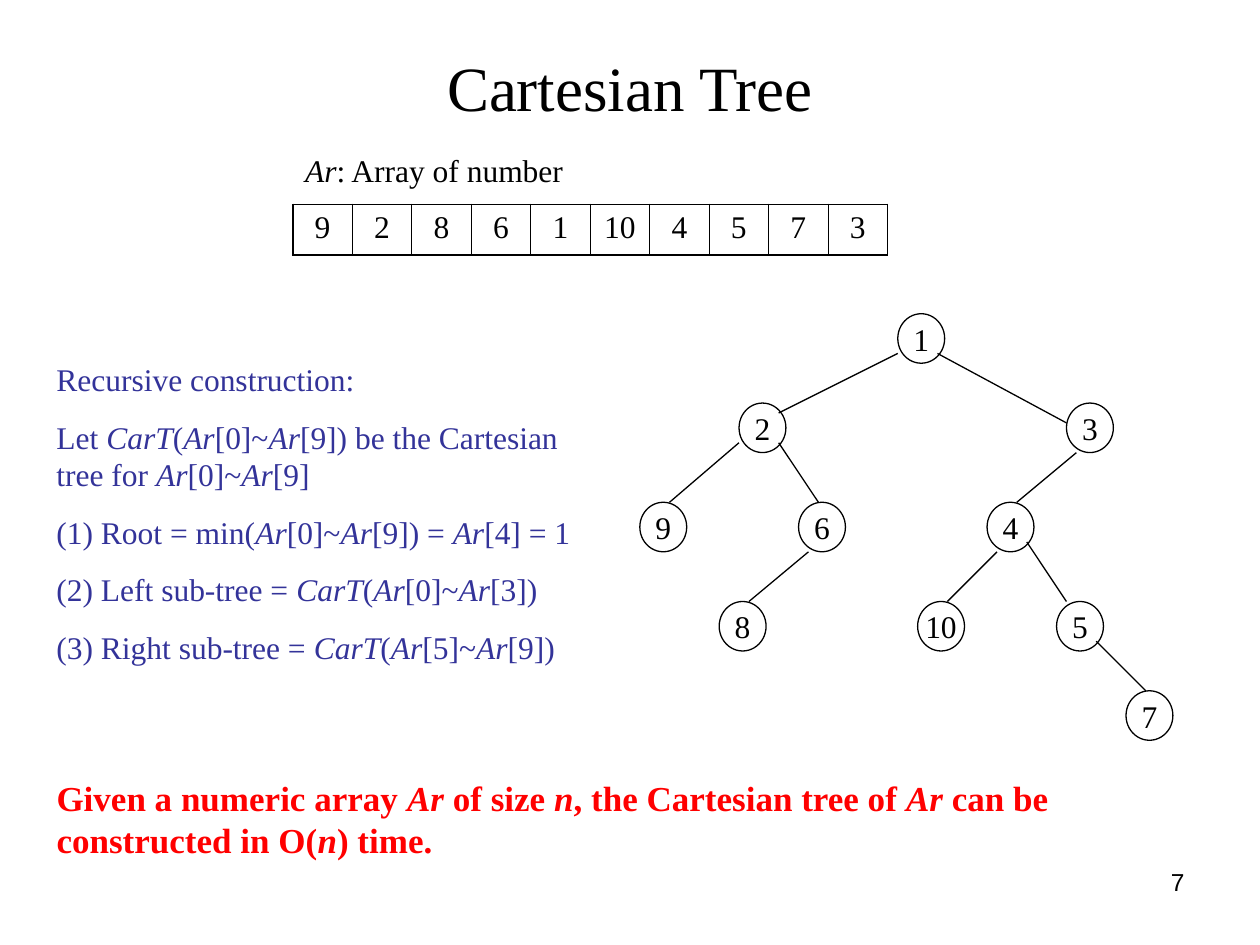
from lxml import etree
from pptx import Presentation
from pptx.dml.color import RGBColor
from pptx.enum.shapes import MSO_CONNECTOR, MSO_SHAPE
from pptx.enum.text import MSO_ANCHOR, MSO_AUTO_SIZE, PP_ALIGN
from pptx.oxml.ns import qn
from pptx.util import Pt

LEFT, CENTER, RIGHT = PP_ALIGN.LEFT, PP_ALIGN.CENTER, PP_ALIGN.RIGHT
TOP, MIDDLE = MSO_ANCHOR.TOP, MSO_ANCHOR.MIDDLE
FIT_SHAPE = MSO_AUTO_SIZE.SHAPE_TO_FIT_TEXT
OVAL, STRAIGHT = MSO_SHAPE.OVAL, MSO_CONNECTOR.STRAIGHT
SERIF, SANS = "Times New Roman", "Arial"
BLACK, RED, BLUE = "000000", "FF0000", "333399"

NUMBERS = [9, 2, 8, 6, 1, 10, 4, 5, 7, 3]
UNIT = 5.67  # grid step of the tree

# Number: column and row of the node's top left corner, in grid steps
NODES = {
    1: (26, 0), 2: (10, 9), 3: (43, 9), 9: (0, 19), 6: (16, 19),
    4: (35, 19), 8: (8, 29), 10: (28, 29), 5: (42, 29), 7: (49, 38),
}
# Child end and parent end of each edge, in grid steps
EDGES = [
    ((14, 10), (26, 4)), ((43, 11), (30, 4)), ((3, 19), (10, 13)),
    ((18, 19), (14, 13)), ((11, 29), (17, 24)), ((38, 19), (44, 14)),
    ((31, 29), (36, 24)), ((43, 29), (39, 23)), ((51, 38), (46, 33)),
]

# Text between asterisks is italic
CONSTRUCTION = [
    "Recursive construction:",
    "Let *CarT*(*Ar*[0]~*Ar*[9]) be the Cartesian tree for *Ar*[0]~*Ar*[9]",
    "(1) Root = min(*Ar*[0]~*Ar*[9]) = *Ar*[4] = 1",
    "(2) Left sub-tree = *CarT*(*Ar*[0]~*Ar*[3])",
    "(3) Right sub-tree = *CarT*(*Ar*[5]~*Ar*[9])",
]
CONCLUSION = [
    "Given a numeric array *Ar* of size *n*, the Cartesian tree of *Ar* "
    "can be constructed in O(*n*) time."
]


def rgb(value):
    return RGBColor.from_string(value)


def write(tf, lines, size=18, color=BLACK, font=SERIF, bold=False,
          align=LEFT, gap=0):
    for i, line in enumerate(lines):
        p = tf.add_paragraph() if i else tf.paragraphs[0]
        p.alignment = align
        if i:
            p.space_before = Pt(gap)
        for j, part in enumerate(line.split("*")):
            if not part:
                continue
            r = p.add_run()
            r.text = part
            r.font.name = font
            r.font.size = Pt(size)
            r.font.bold = bold
            r.font.italic = j % 2 == 1
            r.font.color.rgb = rgb(color)


def add_text(s, box, lines, anchor=TOP, fit=False, **style):
    tf = s.shapes.add_textbox(*map(Pt, box)).text_frame
    tf.word_wrap = True
    tf.vertical_anchor = anchor
    if fit:
        tf.auto_size = FIT_SHAPE
    write(tf, lines, **style)


def set_border(cell, side, width):
    tcPr = cell._tc.get_or_add_tcPr()
    ln = etree.SubElement(tcPr, qn("a:ln" + side), w=str(Pt(width)))
    fill = etree.SubElement(ln, qn("a:solidFill"))
    etree.SubElement(fill, qn("a:srgbClr"), val=BLACK)


def add_array(s, box):
    x, y, w, h = box
    table = s.shapes.add_table(1, len(NUMBERS), *map(Pt, box)).table
    table.first_row = table.horz_banding = False
    table.rows[0].height = Pt(h)
    last = len(NUMBERS) - 1
    for i, number in enumerate(NUMBERS):
        table.columns[i].width = Pt(w / len(NUMBERS))
        cell = table.cell(0, i)
        write(cell.text_frame, [str(number)], align=CENTER)
        # Thin lines between cells, thicker ones around the array
        set_border(cell, "L", 1.08 if i == 0 else 0.45)
        set_border(cell, "R", 1.08 if i == last else 0.45)
        set_border(cell, "T", 1.08)
        set_border(cell, "B", 1.08)
        cell.fill.background()


def add_tree(s, left, top):
    def at(col, row):
        return Pt(left + col * UNIT), Pt(top + row * UNIT)

    tree = s.shapes.add_group_shape().shapes
    for number, corner in NODES.items():
        sp = tree.add_shape(OVAL, *at(*corner), Pt(26.8), Pt(28.3))
        sp.shadow.inherit = False
        sp.fill.background()
        sp.line.color.rgb = rgb(BLACK)
        sp.line.width = Pt(0.75)
        tf = sp.text_frame
        tf.word_wrap = False
        tf.vertical_anchor = MIDDLE
        write(tf, [str(number)], align=CENTER)
    for child, parent in EDGES:
        edge = tree.add_connector(STRAIGHT, *at(*child), *at(*parent))
        edge.line.color.rgb = rgb(BLACK)
        edge.line.width = Pt(0.75)
        etree.SubElement(edge._element.spPr, qn("a:effectLst"))


def main():
    prs = Presentation()
    prs.slide_width, prs.slide_height = Pt(720), Pt(540)
    s = prs.slides.add_slide(prs.slide_layouts[6])

    # Title
    add_text(s, (36, 21.6, 648, 55.4), ["Cartesian Tree"],
             anchor=MIDDLE, size=36, align=CENTER)
    # Array with its label
    add_array(s, (167.3, 116.8, 340, 28.8))
    add_text(s, (167.3, 82.8, 164, 28.8), ["*Ar*: Array of number"], fit=True)
    # Tree
    add_tree(s, 365.6, 179.3)
    # Explanation and conclusion
    add_text(s, (25.2, 202.3, 329, 182), CONSTRUCTION, fit=True,
             color=BLUE, gap=11.2)
    add_text(s, (25.2, 440, 669, 55.4), CONCLUSION, fit=True,
             size=20, color=RED, bold=True)
    # Slide number
    add_text(s, (516.2, 491.8, 167.8, 37.4), ["7"],
             size=14, font=SANS, align=RIGHT)

    prs.save("out.pptx")


if __name__ == "__main__":
    main()
